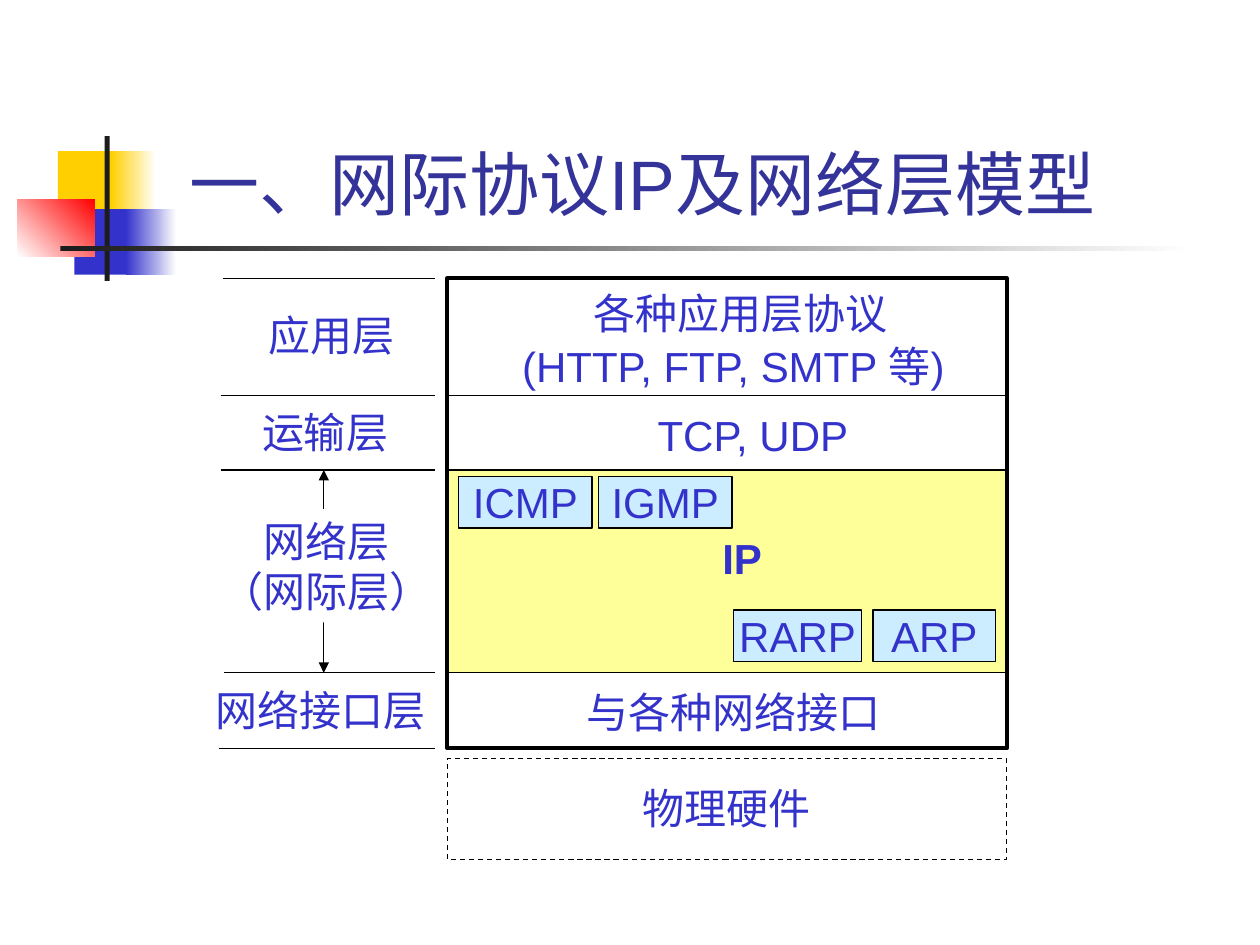
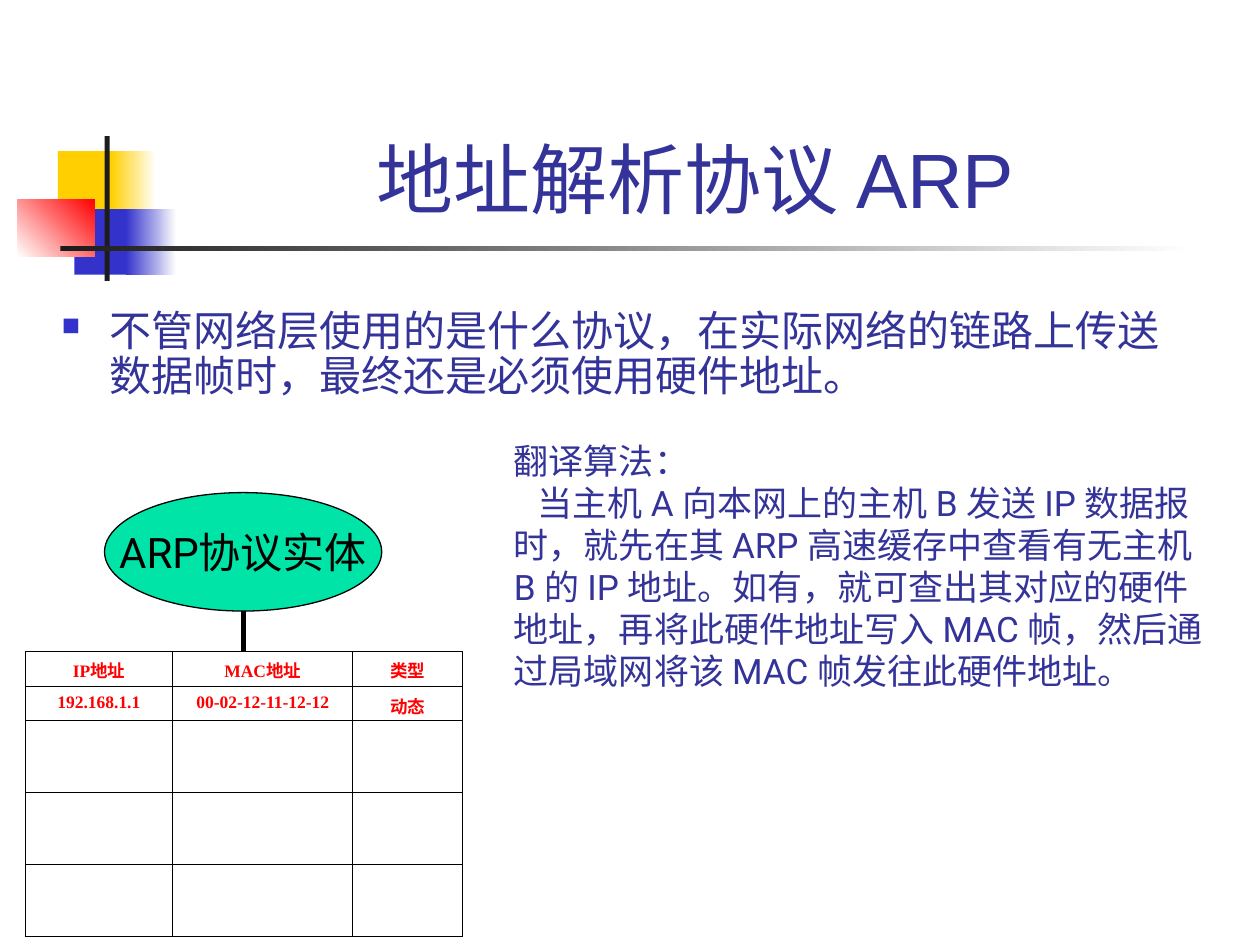
from lxml.etree import SubElement
from pptx import Presentation
from pptx.dml.color import RGBColor
from pptx.enum.dml import MSO_LINE
from pptx.enum.shapes import MSO_CONNECTOR, MSO_SHAPE
from pptx.enum.text import MSO_ANCHOR, PP_ALIGN
from pptx.oxml.ns import qn
from pptx.util import Inches, Pt

BLACK = RGBColor(0x00, 0x00, 0x00)
WHITE = RGBColor(0xFF, 0xFF, 0xFF)
CHARCOAL = RGBColor(0x1C, 0x1C, 0x1C)
GOLD = RGBColor(0xFF, 0xCF, 0x01)
BLUE = RGBColor(0x33, 0x33, 0xCC)
NAVY = RGBColor(0x33, 0x33, 0x99)
RED = RGBColor(0xFF, 0x00, 0x00)
PALE_YELLOW = RGBColor(0xFF, 0xFF, 0x99)
PALE_BLUE = RGBColor(0xCC, 0xEC, 0xFF)
GREEN = RGBColor(0x00, 0xE4, 0xA8)

STACK_LEFT, STACK_RIGHT = 3.55, 7.99
SCALE_RIGHT = 3.45
LAYER_EDGES = [2.21, 3.14, 3.73, 5.34, 5.94]
SCALE_LEFTS = [1.77, 1.75, 1.75, 1.78, 1.74]


def format_text(frame, size, color, font="Arial", bold=False, align=PP_ALIGN.CENTER):
    """Align every paragraph and style every run of a text frame."""
    for paragraph in frame.paragraphs:
        paragraph.alignment = align
        for run in paragraph.runs:
            run.font.size, run.font.name, run.font.bold = Pt(size), font, bold
            run.font.color.rgb = color


def add_text(slide, box, text, size=24, color=BLUE, font="Arial", bold=False,
             align=PP_ALIGN.CENTER, anchor=MSO_ANCHOR.TOP, wrap=False):
    """Add a text box and return its frame."""
    frame = slide.shapes.add_textbox(*map(Inches, box)).text_frame
    frame.text = text
    frame.word_wrap = wrap
    frame.vertical_anchor = anchor
    format_text(frame, size, color, font, bold, align)
    return frame


def add_block(slide, box, fill=None, line_width=None, kind=MSO_SHAPE.RECTANGLE):
    """Add a flat shape with an optional fill and black outline."""
    block = slide.shapes.add_shape(kind, *map(Inches, box))
    block.shadow.inherit = False
    if fill is None:
        block.fill.background()
    else:
        block.fill.solid()
        block.fill.fore_color.rgb = fill
    if line_width is None:
        block.line.fill.background()
    else:
        block.line.color.rgb = BLACK
        block.line.width = Pt(line_width)
    return block


def add_labelled_block(slide, box, text, fill, line_width=0.75, font="Arial",
                       color=BLUE, kind=MSO_SHAPE.RECTANGLE):
    """Add a shape with centred text on a single line per paragraph."""
    block = add_block(slide, box, fill, line_width, kind)
    frame = block.text_frame
    frame.text = text
    frame.word_wrap = False
    frame.vertical_anchor = MSO_ANCHOR.MIDDLE
    format_text(frame, 24, color, font)
    return block


def add_fade(slide, box, start, end, angle=0):
    """Add a rectangle that fades from one colour to another."""
    fade = add_block(slide, box)
    fade.fill.gradient()
    fade.fill.gradient_angle = angle
    for stop, color in zip(fade.fill.gradient_stops, (start, end)):
        stop.color.rgb = color


def add_line(slide, x1, y1, x2, y2, width=0.75, double_arrow=False):
    """Add a straight black line, with arrowheads on both ends if asked."""
    line = slide.shapes.add_connector(MSO_CONNECTOR.STRAIGHT, *map(Inches, (x1, y1, x2, y2)))
    line.line.color.rgb = BLACK
    line.line.width = Pt(width)
    if double_arrow:
        outline = line.line._get_or_add_ln()
        for end in ("a:headEnd", "a:tailEnd"):
            SubElement(outline, qn(end), type="triangle")
    SubElement(line._element.spPr, qn("a:effectLst"))


def add_titled_slide(deck, title, size, width):
    """Add a slide with the coloured corner, the rule and a title."""
    slide = deck.slides.add_slide(deck.slide_layouts[6])
    add_block(slide, (0.46, 1.2, 0.48, 0.52), GOLD)
    add_fade(slide, (0.88, 1.2, 0.36, 0.52), GOLD, WHITE)
    add_block(slide, (0.59, 1.66, 0.46, 0.52), BLUE)
    add_fade(slide, (1, 1.66, 0.4, 0.52), BLUE, WHITE)
    add_fade(slide, (0.14, 1.58, 0.61, 0.46), WHITE, RED, 45)
    add_block(slide, (0.83, 1.08, 0.04, 1.15), CHARCOAL)
    add_fade(slide, (0.48, 1.95, 9, 0.04), CHARCOAL, WHITE)
    add_text(slide, (1.26, 0.23, width, 1.6), title, size, NAVY, anchor=MSO_ANCHOR.BOTTOM)
    return slide


def add_bullet(paragraph, color, percent, indent):
    """Give a paragraph a square bullet with a hanging indent."""
    props = paragraph._p.get_or_add_pPr()
    props.set("marL", str(Inches(indent)))
    props.set("indent", str(-Inches(indent)))
    SubElement(SubElement(props, qn("a:buClr")), qn("a:srgbClr"), val=str(color))
    SubElement(props, qn("a:buSzPct"), val=str(percent * 1000))
    SubElement(props, qn("a:buChar"), char="■")


def add_cell_borders(cell, width):
    """Draw a black border on all four sides of a cell."""
    props = cell._tc.get_or_add_tcPr()
    for index, side in enumerate(("a:lnL", "a:lnR", "a:lnT", "a:lnB")):
        border = props.makeelement(qn(side), {"w": str(Pt(width))})
        fill = SubElement(border, qn("a:solidFill"))
        SubElement(fill, qn("a:srgbClr"), val=str(BLACK))
        props.insert(index, border)


def add_cache_table(slide, left, top, widths, heights, rows):
    """Add the bordered address cache, leaving rows without data empty."""
    table = slide.shapes.add_table(
        len(heights), len(widths), Inches(left), Inches(top),
        Inches(sum(widths)), Inches(sum(heights))).table
    table.first_row = table.horz_banding = False
    for column, width in zip(table.columns, widths):
        column.width = Inches(width)
    for row, height in zip(table.rows, heights):
        row.height = Inches(height)
    for cell in table.iter_cells():
        cell.fill.background()
        add_cell_borders(cell, 0.45)
    for r, values in enumerate(rows):
        for c, value in enumerate(values):
            frame = table.cell(r, c).text_frame
            frame.text = value
            format_text(frame, 10, RED, "Times New Roman", True)


def build_layer_model(deck):
    """Build the slide on IP and the network layer model."""
    slide = add_titled_slide(deck, "一、网际协议IP及网络层模型", 40, 7.68)
    stack_width = STACK_RIGHT - STACK_LEFT
    top, bottom = LAYER_EDGES[0], LAYER_EDGES[-1]
    network_top, network_bottom = LAYER_EDGES[2:4]

    add_block(slide, (STACK_LEFT, network_top, stack_width, network_bottom - network_top),
              PALE_YELLOW)
    add_block(slide, (STACK_LEFT, top, stack_width, bottom - top), line_width=2.25)
    for edge in LAYER_EDGES[1:-1]:
        add_line(slide, STACK_LEFT, edge, STACK_RIGHT, edge)
    for left, edge in zip(SCALE_LEFTS, LAYER_EDGES):
        add_line(slide, left, edge, SCALE_RIGHT, edge)

    hardware = add_block(slide, (STACK_LEFT, 6.02, stack_width, 0.8), WHITE, 0.75)
    hardware.line.dash_style = MSO_LINE.DASH
    white = hardware._element.spPr.find(qn("a:solidFill"))[0]
    SubElement(white, qn("a:alpha"), val="49000")

    for box, text in [
        ((4.61, 2.23, 2.53, 0.5), "各种应用层协议"),
        ((3.92, 2.65, 3.8, 0.5), "(HTTP, FTP, SMTP 等)"),
        ((5.1, 3.2, 1.75, 0.5), "TCP, UDP"),
        ((4.56, 5.4, 2.53, 0.5), "与各种网络接口"),
        ((5, 6.16, 1.53, 0.5), "物理硬件"),
        ((2.03, 2.41, 1.2, 0.5), "应用层"),
        ((1.98, 3.18, 1.2, 0.5), "运输层"),
    ]:
        add_text(slide, box, text)
    add_text(slide, (5.39, 4.18, 1, 0.5), "IP", bold=True)
    interface = add_text(slide, (1.44, 5.48, 2.2, 0.4), "网络接口层")
    interface.paragraphs[0].line_spacing = 0.75

    for left, block_top, width, protocol in [
        (3.64, 3.78, 1.06, "ICMP"), (4.75, 3.78, 1.06, "IGMP"),
        (5.82, 4.84, 1.02, "RARP"), (6.93, 4.84, 0.97, "ARP"),
    ]:
        add_labelled_block(slide, (left, block_top, width, 0.41), protocol, PALE_BLUE)

    add_line(slide, 2.57, network_top, 2.57, network_bottom, double_arrow=True)
    add_labelled_block(slide, (1.66, 4.04, 1.86, 0.9), "网络层\n（网际层）", WHITE, None)


def build_address_resolution(deck):
    """Build the slide on the address resolution protocol."""
    slide = add_titled_slide(deck, "地址解析协议 ARP", 44, 8.52)
    point = add_text(
        slide, (0.39, 2.41, 9.21, 1.1),
        "不管网络层使用的是什么协议，在实际网络的链路上传送数据帧时，最终还是必须使用硬件地址。",
        24, NAVY, align=PP_ALIGN.LEFT, wrap=True).paragraphs[0]
    point.line_spacing = 0.9
    add_bullet(point, BLUE, 60, 0.38)

    algorithm = add_text(
        slide, (3.98, 3.44, 5.67, 2.44),
        "翻译算法：\n当主机 A 向本网上的主机 B 发送 IP 数据报时，就先在其 ARP 高速缓存中查看有无主机 B 的 "
        "IP 地址。如有，就可查出其对应的硬件地址，再将此硬件地址写入 MAC 帧，"
        "然后通过局域网将该 MAC 帧发往此硬件地址。",
        20, NAVY, "Roboto", align=PP_ALIGN.LEFT, wrap=True)
    algorithm.paragraphs[1]._p.get_or_add_pPr().set("indent", str(Inches(0.19)))

    add_labelled_block(slide, (0.83, 3.91, 2.2, 0.94), "ARP协议实体", GREEN,
                       font="Roboto", color=BLACK, kind=MSO_SHAPE.OVAL)
    add_cache_table(
        slide, 0.2, 5.17, [1.17, 1.43, 0.87], [0.28, 0.27] + [0.57] * 3,
        [["IP地址", "MAC地址", "类型"], ["192.168.1.1", "00-02-12-11-12-12", "动态"]])
    add_line(slide, 1.93, 4.85, 1.93, 5.17, 3)


def main():
    """Build both slides and save the deck."""
    deck = Presentation()
    deck.slide_width, deck.slide_height = Inches(10), Inches(7.5)
    build_layer_model(deck)
    build_address_resolution(deck)
    deck.save("out.pptx")


if __name__ == "__main__":
    main()
